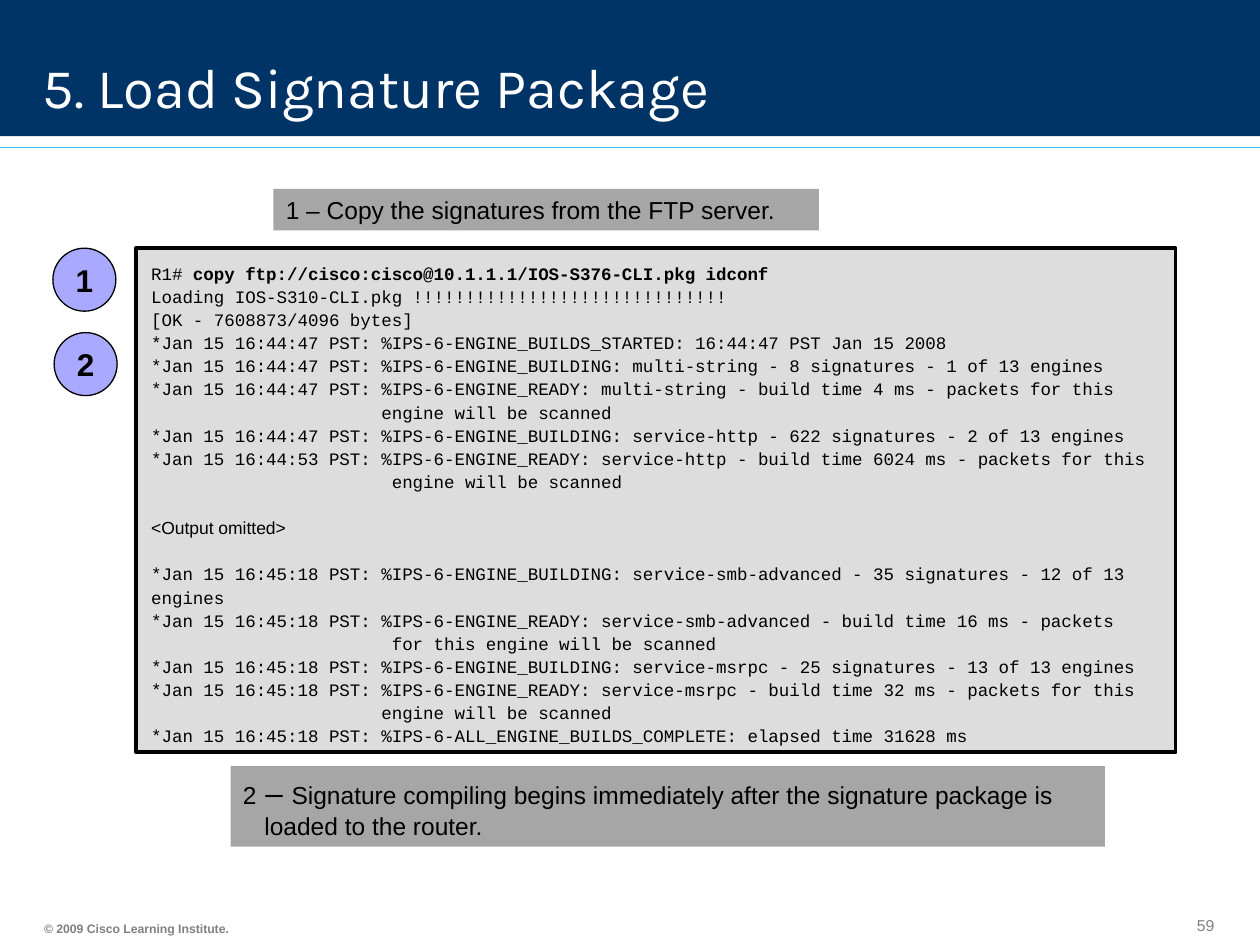
from dataclasses import dataclass

from lxml import etree
from pptx import Presentation
from pptx.dml.color import RGBColor
from pptx.enum.shapes import MSO_CONNECTOR, MSO_SHAPE
from pptx.enum.text import MSO_ANCHOR, PP_ALIGN
from pptx.oxml.ns import qn
from pptx.util import Inches, Pt

RECTANGLE, OVAL = MSO_SHAPE.RECTANGLE, MSO_SHAPE.OVAL
STRAIGHT = MSO_CONNECTOR.STRAIGHT
TOP, MIDDLE, BOTTOM = MSO_ANCHOR.TOP, MSO_ANCHOR.MIDDLE, MSO_ANCHOR.BOTTOM
LEFT, CENTER = PP_ALIGN.LEFT, PP_ALIGN.CENTER

NAVY, SKY, WHITE, BLACK = "003366", "35C3EE", "FFFFFF", "000000"
GRAY, PANEL, CAPTION, LILAC = "808080", "DDDDDD", "A6A6A6", "A9A9FF"
CODE_FONT = "Courier New"
BLANK_LINE = Pt(13.2)
PROMPT = "R1# "
COMMAND = "copy ftp://cisco:cisco@10.1.1.1/IOS-S376-CLI.pkg idconf"
OMITTED = "<Output omitted>"
FIRST_AFTER_OMITTED = (
    "*Jan 15 16:45:18 PST: %IPS-6-ENGINE_BUILDING: "
    "service-smb-advanced - 35 signatures - 12 of 13 engines"
)
CONSOLE_LINES = [
    "Loading IOS-S310-CLI.pkg !!!!!!!!!!!!!!!!!!!!!!!!!!!!!!",
    "[OK - 7608873/4096 bytes]",
    "*Jan 15 16:44:47 PST: %IPS-6-ENGINE_BUILDS_STARTED: 16:44:47 PST Jan 15 2008",
    "*Jan 15 16:44:47 PST: %IPS-6-ENGINE_BUILDING: multi-string - 8 signatures - 1 of 13 engines",
    "*Jan 15 16:44:47 PST: %IPS-6-ENGINE_READY: multi-string - build time 4 ms - packets for this",
    "                      engine will be scanned",
    "*Jan 15 16:44:47 PST: %IPS-6-ENGINE_BUILDING: service-http - 622 signatures - 2 of 13 engines",
    "*Jan 15 16:44:53 PST: %IPS-6-ENGINE_READY: service-http - build time 6024 ms - packets for this",
    "                       engine will be scanned",
    OMITTED,
    FIRST_AFTER_OMITTED,
    "*Jan 15 16:45:18 PST: %IPS-6-ENGINE_READY: service-smb-advanced - build time 16 ms - packets",
    "                       for this engine will be scanned",
    "*Jan 15 16:45:18 PST: %IPS-6-ENGINE_BUILDING: service-msrpc - 25 signatures - 13 of 13 engines",
    "*Jan 15 16:45:18 PST: %IPS-6-ENGINE_READY: service-msrpc - build time 32 ms - packets for this",
    "                      engine will be scanned",
    "*Jan 15 16:45:18 PST: %IPS-6-ALL_ENGINE_BUILDS_COMPLETE: elapsed time 31628 ms",
]


@dataclass
class Area:
    left: float
    top: float
    width: float
    height: float

    def lengths(self) -> list:
        return [Inches(n) for n in (self.left, self.top, self.width, self.height)]


@dataclass
class Style:
    size: float
    color: str = BLACK
    bold: bool = False
    font: str = "Arial"


@dataclass
class Label:
    text: str
    area: Area
    style: Style


def rgb(color: str) -> RGBColor:
    return RGBColor.from_string(color)


def format_span(span, style: Style) -> None:
    span.font.name = style.font
    span.font.size = Pt(style.size)
    span.font.bold = style.bold
    span.font.color.rgb = rgb(style.color)


def add_span(para, text: str, style: Style) -> None:
    span = para.add_run()
    span.text = text
    format_span(span, style)


def set_frame(box, anchor, wrap: bool = True, insets=(0.1, 0.05, 0.1, 0.05)):
    frame = box.text_frame
    frame.word_wrap = wrap
    frame.vertical_anchor = anchor
    (frame.margin_left, frame.margin_top,
     frame.margin_right, frame.margin_bottom) = map(Inches, insets)
    return frame


def add_block(page, kind, area: Area, fill: str, line: str = "", weight: float = 0):
    block = page.shapes.add_shape(kind, *area.lengths())
    block.shadow.inherit = False
    block.fill.solid()
    block.fill.fore_color.rgb = rgb(fill)
    if line:
        block.line.color.rgb = rgb(line)
        block.line.width = Pt(weight)
    else:
        block.line.fill.background()
    return block


def write(box, label: Label, anchor, align=LEFT, wrap: bool = True,
          insets=(0.1, 0.05, 0.1, 0.05)):
    frame = set_frame(box, anchor, wrap, insets)
    frame.text = label.text
    para = frame.paragraphs[0]
    para.alignment = align
    format_span(para.runs[0], label.style)
    return para


def add_label(page, label: Label, wrap: bool):
    box = page.shapes.add_textbox(*label.area.lengths())
    return write(box, label, BOTTOM, wrap=wrap, insets=(0.09, 0.04, 0.09, 0.04))


def add_rule(page, top: float) -> None:
    rule = page.shapes.add_connector(STRAIGHT, 0, Inches(top), Inches(10), Inches(top))
    rule.line.color.rgb = rgb(SKY)
    rule.line.width = Pt(0.75)
    etree.SubElement(rule._element.spPr, qn("a:effectLst"))


def add_console(page) -> None:
    add_block(page, RECTANGLE, Area(1.08, 1.97, 8.25, 4), PANEL, BLACK, 2.25)
    box = page.shapes.add_textbox(*Area(1, 2.07, 8.17, 4.26).lengths())
    frame = set_frame(box, TOP, insets=(0.2, 0, 0, 0))
    code = Style(10, font=CODE_FONT)
    first = frame.paragraphs[0]
    add_span(first, PROMPT, code)
    add_span(first, COMMAND, Style(10, bold=True, font=CODE_FONT))
    for line in CONSOLE_LINES:
        para = frame.add_paragraph()
        add_span(para, line, Style(10) if line == OMITTED else code)
        if line in (OMITTED, FIRST_AFTER_OMITTED):
            para.space_before = BLANK_LINE
    for para in frame.paragraphs:
        para.line_spacing = 1.1


def add_compile_caption(page) -> None:
    box = add_block(page, RECTANGLE, Area(1.83, 6.08, 6.94, 0.64), CAPTION)
    para = set_frame(box, BOTTOM).paragraphs[0]
    para.alignment = LEFT
    properties = para._p.get_or_add_pPr()
    properties.set("marL", str(Inches(0.17)))
    properties.set("indent", str(-Inches(0.17)))
    add_span(para, "2", Style(14))
    add_span(para, " ", Style(18, bold=True))
    add_span(para, "– ", Style(18))
    add_span(para, "Signature compiling begins immediately after the signature "
                   "package is loaded to the router.", Style(14))


def main() -> None:
    deck = Presentation()
    deck.slide_width, deck.slide_height = Inches(10), Inches(7.5)
    page = deck.slides.add_slide(deck.slide_layouts[6])

    add_block(page, RECTANGLE, Area(0, 0, 10, 1.08), NAVY)
    add_label(page, Label("59", Area(9.41, 7.22, 0.33, 0.24), Style(9, GRAY)), False)
    add_label(page, Label("© 2009 Cisco Learning Institute.",
                          Area(0.26, 7.26, 1.66, 0.21), Style(7, GRAY, True)), False)
    add_rule(page, 1.17)
    title = Label("5. Load Signature Package", Area(0.25, 0.08, 9.33, 0.92),
                  Style(32, WHITE, font="Karla"))
    add_label(page, title, True).line_spacing = 0.9

    add_console(page)
    add_compile_caption(page)
    steps = [
        Label("1", Area(0.42, 1.97, 0.5, 0.5), Style(18, bold=True)),
        Label("2", Area(0.43, 2.64, 0.5, 0.5), Style(18, bold=True)),
    ]
    for step in steps:
        circle = add_block(page, OVAL, step.area, LILAC, BLACK, 0.75)
        write(circle, step, MIDDLE, CENTER, wrap=False)
    copy_step = Label("1 – Copy the signatures from the FTP server.",
                      Area(2.17, 1.5, 4.33, 0.33), Style(14))
    write(add_block(page, RECTANGLE, copy_step.area, CAPTION), copy_step, MIDDLE)

    deck.save("out.pptx")


if __name__ == "__main__":
    main()
